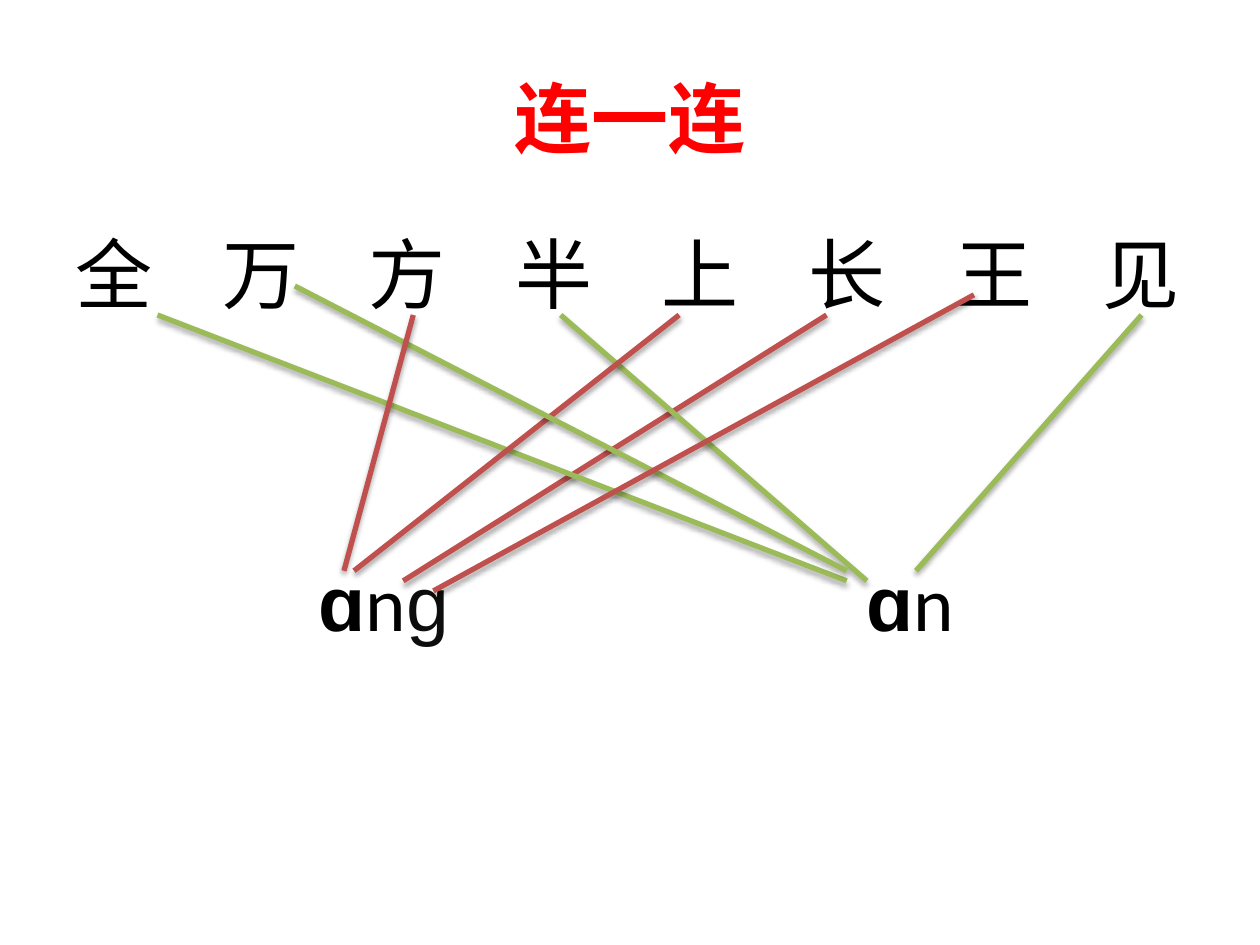
from lxml.etree import SubElement
from pptx import Presentation
from pptx.dml.color import RGBColor
from pptx.enum.shapes import MSO_CONNECTOR
from pptx.enum.text import MSO_ANCHOR, PP_ALIGN
from pptx.oxml.ns import qn
from pptx.util import Inches, Pt

RED = RGBColor(0xFF, 0x00, 0x00)
BLACK = RGBColor(0x00, 0x00, 0x00)
DARK = RGBColor(0x0D, 0x0D, 0x0D)
GREEN = RGBColor(0x9B, 0xBB, 0x59)
BRICK = RGBColor(0xC0, 0x50, 0x4D)

prs = Presentation()
prs.slide_width, prs.slide_height = Inches(10), Inches(7.5)
s = prs.slides.add_slide(prs.slide_layouts[6])


def add_text(top, height, runs, tabs=()):
    """Add a one-line box of (text, format) runs with tab stops in inches."""
    sp = s.shapes.add_textbox(Inches(0.5), Inches(top), Inches(9), Inches(height))
    tf = sp.text_frame
    tf.word_wrap = True
    p = tf.paragraphs[0]
    if tabs:
        tab_list = SubElement(p._p.get_or_add_pPr(), qn("a:tabLst"))
        for pos in tabs:
            SubElement(tab_list, qn("a:tab"), pos=str(Inches(pos)), algn="l")
    for text, fmt in runs:
        r = p.add_run()
        r.text = text
        r.font.color.rgb = fmt.get("color", BLACK)
        for name, value in {"size": Pt(44), "name": "Calibri", **fmt}.items():
            if name != "color":
                setattr(r.font, name, value)
    return tf


# Title
tf = add_text(0.3, 1.25, [("连一连", {"bold": True, "color": RED})])
tf.vertical_anchor = MSO_ANCHOR.MIDDLE
tf.paragraphs[0].alignment = PP_ALIGN.CENTER

# Characters, evenly spaced by tab stops
characters = "全万方半上长王见"
add_text(1.75, 0.9, [("\t".join(characters), {})],
         [1.164 * i for i in range(1, len(characters))])

# Finals to match
alpha = {"name": "Arial", "bold": True}
add_text(4.35, 0.9, [
    ("\t", {}), ("ɑ", alpha), ("n", {}), ("ɡ", {"name": "Arial", "color": DARK}),
    ("\t", {}), ("ɑ", alpha), ("n", {}),
], [1.93, 6.28])

# Matching lines from character to final: green for ɑn, brick for ɑnɡ
matches = [
    (9.06, 2.5, 7.27, 4.53, GREEN),
    (6.56, 2.5, 3.2, 4.61, BRICK),
    (1.25, 2.5, 6.72, 4.61, GREEN),
    (4.45, 2.5, 6.88, 4.61, GREEN),
    (5.39, 2.5, 2.81, 4.53, BRICK),
    (2.34, 2.27, 6.72, 4.53, GREEN),
    (7.73, 2.34, 3.44, 4.69, BRICK),
    (3.28, 2.5, 2.73, 4.53, BRICK),
]
for *ends, color in matches:
    line = s.shapes.add_connector(MSO_CONNECTOR.STRAIGHT, *map(Inches, ends))
    line.line.color.rgb = color
    line.line.width = Pt(3)
    # Soft shadow straight below
    effects = SubElement(line._element.spPr, qn("a:effectLst"))
    shadow = SubElement(effects, qn("a:outerShdw"), blurRad=str(Pt(3.1)),
                        dist=str(Pt(1.8)), dir="5400000", rotWithShape="0")
    shade = SubElement(shadow, qn("a:srgbClr"), val=str(BLACK))
    SubElement(shade, qn("a:alpha"), val="35000")

prs.save("out.pptx")
